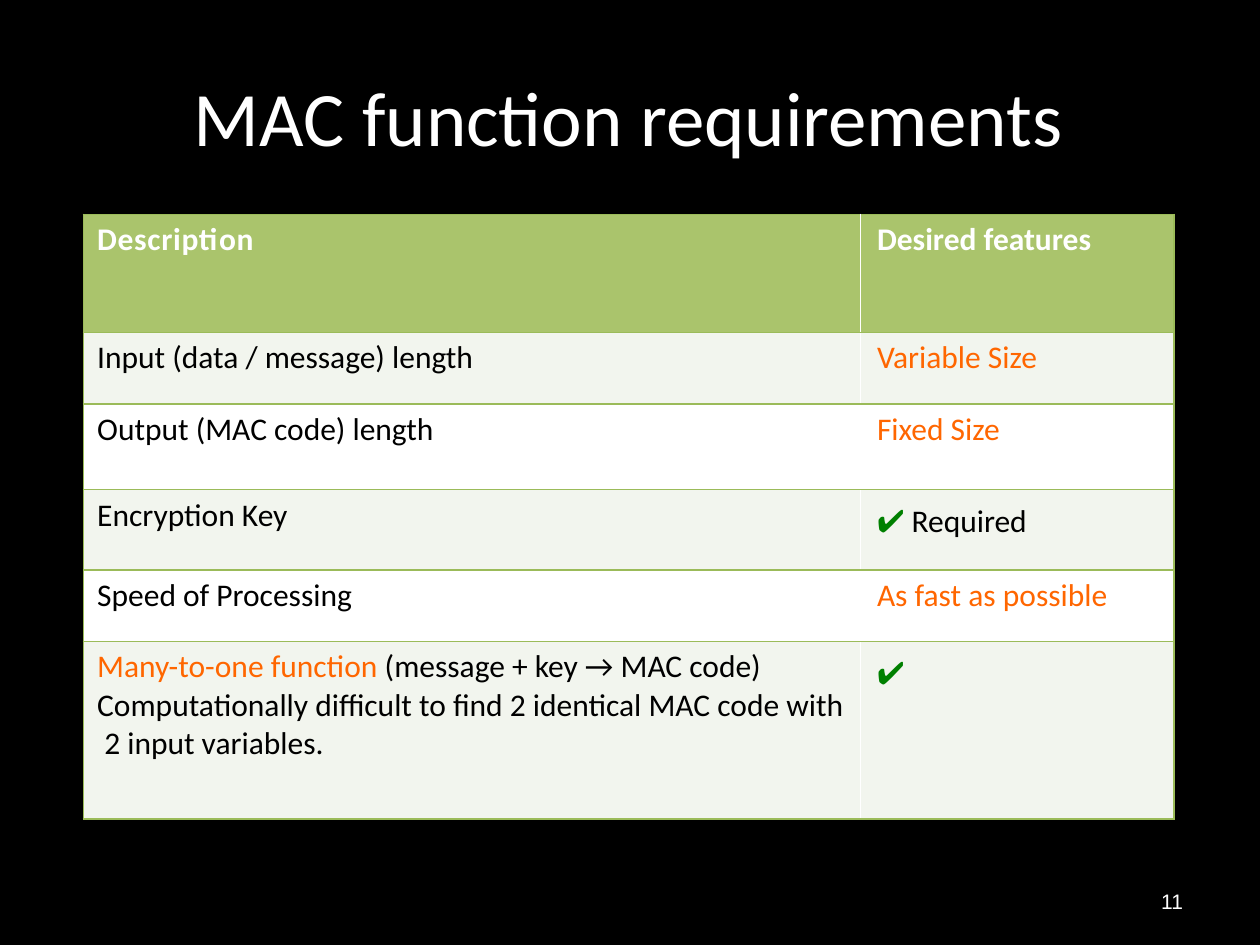
from lxml import etree
from pptx import Presentation
from pptx import util as u
from pptx.dml.color import RGBColor
from pptx.enum import text
from pptx.oxml.ns import qn

COLORS = {
    "black": "000000",
    "white": "FFFFFF",
    "header": "AAC46C",
    "band": "F2F5EE",
    "border": "9BBB59",
    "orange": "FF6600",
    "check": "008000",
}


def rgb(name):
    return RGBColor.from_string(COLORS[name])


def add_text(paragraph, content, size=18, font="Calibri", color="black",
             bold=False, spacing=0):
    """Add formatted text; each newline becomes a line break."""
    for number, line in enumerate(content.split("\n")):
        if number:
            paragraph.add_line_break()
        run = paragraph.add_run()
        run.text = line
        run.font.size = u.Pt(size)
        run.font.name = font
        run.font.bold = bold
        run.font.color.rgb = rgb(color)
        if spacing:
            run.font._element.set("spc", str(round(spacing * 100)))


class SlideBuilder:
    def __init__(self, slide, background):
        self.slide = slide
        slide.background.fill.solid()
        slide.background.fill.fore_color.rgb = rgb(background)

    def label(self, left, top, width, height, content, **style):
        box = self.slide.shapes.add_textbox(
            u.Cm(left), u.Cm(top), u.Cm(width), u.Cm(height))
        frame = box.text_frame
        frame.word_wrap = True
        frame.margin_left = frame.margin_right = 0
        frame.margin_top = frame.margin_bottom = 0
        frame.vertical_anchor = text.MSO_ANCHOR.TOP
        add_text(frame.paragraphs[0], content, **style)

    def border(self, cell, sides):
        properties = cell._tc.get_or_add_tcPr()
        for position, side in enumerate(sides):
            line = etree.Element(qn(f"a:ln{side}"), w=str(u.Pt(1)))
            fill = etree.SubElement(line, qn("a:solidFill"))
            etree.SubElement(fill, qn("a:srgbClr"), val=COLORS["border"])
            properties.insert(position, line)

    def table(self, left, top, widths, heights, rows, fills, indents):
        table = self.slide.shapes.add_table(
            len(rows), len(widths), u.Cm(left), u.Cm(top),
            u.Cm(sum(widths)), u.Cm(sum(heights))).table
        table.first_row = table.horz_banding = False
        for column, width in zip(table.columns, widths):
            column.width = u.Cm(width)
        for r, (height, row, fill) in enumerate(zip(heights, rows, fills)):
            table.rows[r].height = u.Cm(height)
            for c, runs in enumerate(row):
                cell = table.cell(r, c)
                cell.margin_left = u.Cm(indents[c])
                cell.margin_right = cell.margin_bottom = 0
                cell.margin_top = u.Cm(0.13)
                cell.fill.solid()
                cell.fill.fore_color.rgb = rgb(fill)
                self.border(cell, "RTB" if c else "LTB")
                for content, style in runs:
                    add_text(cell.text_frame.paragraphs[0], content, **style)


def main():
    deck = Presentation()
    deck.slide_width, deck.slide_height = u.Cm(25.4), u.Cm(19.05)
    page = SlideBuilder(deck.slides.add_slide(deck.slide_layouts[6]), "black")

    # Title
    page.label(3.91, 1.4, 18.77, 1.9, "MAC function requirements",
               size=44, color="white")

    # Requirements table
    plain = {}
    heading = {"color": "white", "bold": True}
    key_point = {"color": "orange"}
    check = {"font": "Noto Sans CJK JP", "color": "check"}
    requirements = [
        ([("Description", {**heading, "spacing": 0.4})],
         [("Desired features", heading)]),
        ([("Input (data / message) length", plain)],
         [("Variable Size", key_point)]),
        ([("Output (MAC code) length", plain)],
         [("Fixed Size", key_point)]),
        ([("Encryption Key", plain)],
         [("✔ ", check), ("Required", plain)]),
        ([("Speed of Processing", plain)],
         [("As fast as possible", key_point)]),
        ([("Many-to-one function ", key_point),
          ("(message + key → MAC code)\n"
           "Computationally diﬃcult to ﬁnd 2 identical MAC code with\n"
           " 2 input variables.", plain)],
         [("✔", check)]),
    ]
    page.table(1.68, 4.32, widths=[15.67, 6.32],
               heights=[2.38, 1.44, 1.73, 1.62, 1.44, 3.58],
               rows=requirements,
               fills=["header"] + ["band", "white"] * 2 + ["band"],
               indents=[0.28, 0.33])

    # Page number
    page.label(23.41, 17.91, 0.7, 0.53, "11",
               size=12, font="Arial", color="white")

    deck.save("out.pptx")


if __name__ == "__main__":
    main()
